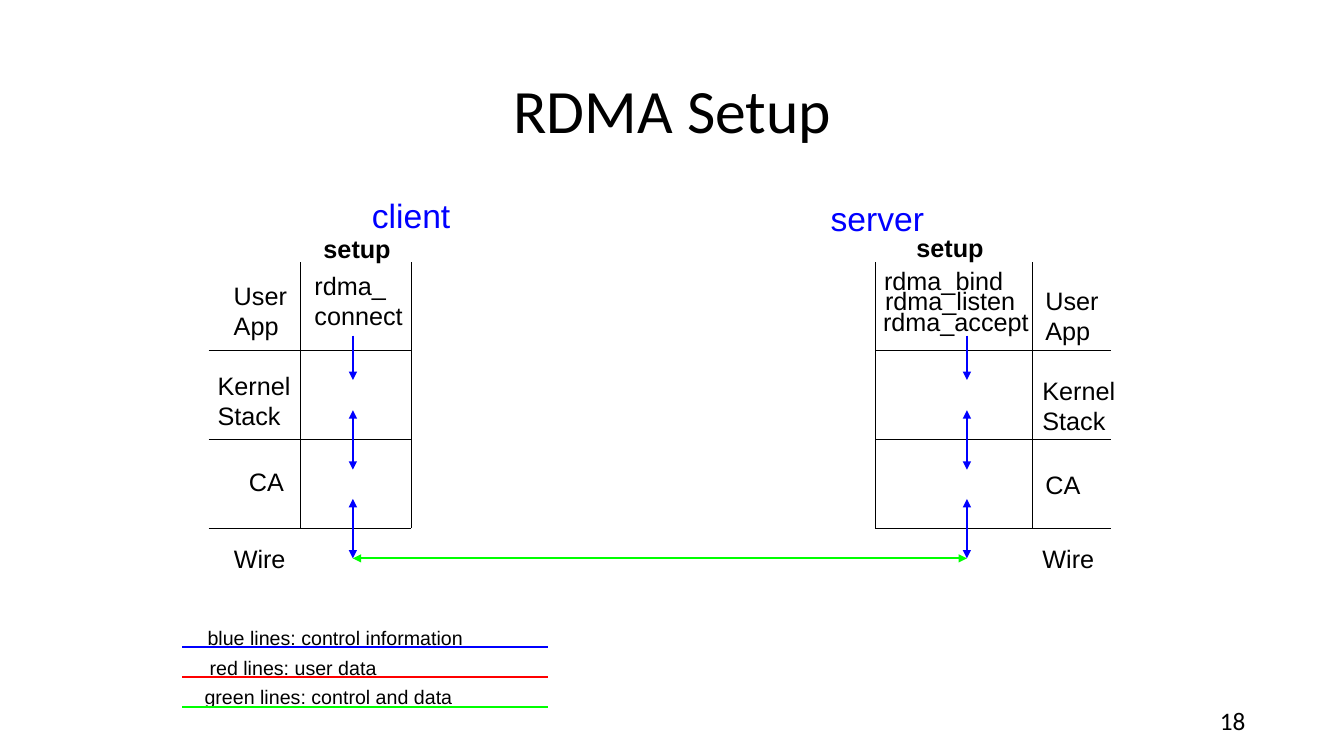
import pptx
import pptx.util
import pptx.dml.color
import pptx.enum.shapes
import pptx.enum.text
import lxml.etree
from pptx.util import Inches

COLORS = {"black": "000000", "blue": "0000FF", "red": "FF0000", "green": "00FF00"}

presentation = pptx.Presentation()
presentation.slide_width = Inches(13.33)
presentation.slide_height = Inches(7.5)
slide = presentation.slides.add_slide(presentation.slide_layouts[6])


def add_text(text, left, top, width, height, size=18, font="Arial", color="black", bold=False):
    shape = slide.shapes.add_textbox(Inches(left), Inches(top), Inches(width), Inches(height))
    text_frame = shape.text_frame
    text_frame.word_wrap = True
    text_frame.text = text
    for paragraph in text_frame.paragraphs:
        for run in paragraph.runs:
            run.font.size = pptx.util.Pt(size)
            run.font.name = font
            run.font.bold = bold
            run.font.color.rgb = pptx.dml.color.RGBColor.from_string(COLORS[color])
    return text_frame


def add_line(x1, y1, x2, y2, color="black", width=0.75, arrows=()):
    connector = slide.shapes.add_connector(
        pptx.enum.shapes.MSO_CONNECTOR.STRAIGHT, Inches(x1), Inches(y1), Inches(x2), Inches(y2))
    connector.line.color.rgb = pptx.dml.color.RGBColor.from_string(COLORS[color])
    connector.line.width = pptx.util.Pt(width)
    properties = connector._element.spPr
    line = connector.line._get_or_add_ln()
    for end in arrows:
        lxml.etree.SubElement(line, pptx.oxml.ns.qn("a:" + end), type="triangle")
    lxml.etree.SubElement(properties, pptx.oxml.ns.qn("a:effectLst"))


title = add_text("RDMA Setup", 0.92, 0.4, 11.5, 1.45, 44, "Calibri")
title.vertical_anchor = pptx.enum.text.MSO_ANCHOR.MIDDLE
title.paragraphs[0].alignment = pptx.enum.text.PP_ALIGN.CENTER
title.paragraphs[0].line_spacing = 0.9
add_text("18", 12, 6.95, 0.5, 0.4, 18, "Calibri")

add_text("client", 3.59, 1.88, 1.3, 0.5, 24, color="blue")
add_text("server", 8.14, 1.91, 1.46, 0.5, 24, color="blue")
add_text("setup", 3.11, 2.27, 1.12, 0.39, bold=True)
add_text("setup", 8.99, 2.26, 1.12, 0.39, bold=True)

layers = [
    ("User\nApp", 0.94, 0.69, (2.22, 2.73), (10.27, 2.78)),
    ("Kernel\nStack", 1.19, 0.69, (2.06, 3.62), (10.24, 3.67)),
    ("CA", 0.71, 0.39, (2.37, 4.58), (10.27, 4.61)),
    ("Wire", 0.92, 0.39, (2.22, 5.34), (10.24, 5.34)),
]
for label, width, height, *positions in layers:
    for left, top in positions:
        add_text(label, left, top, width, height)

add_text("rdma_\nconnect", 3.02, 2.63, 1.39, 0.69)
add_text("rdma_listen", 8.68, 2.78, 1.93, 0.39)
add_text("rdma_accept", 8.66, 2.99, 2.12, 0.39)
add_text("rdma_bind", 8.67, 2.58, 1.78, 0.39)

grid_top, row_height = 2.6, 0.88
grid_bottom = grid_top + 3 * row_height
client_x, server_x, wire_y = 3.5, 9.59, 5.54
both_ends = ("headEnd", "tailEnd")
stacks = [
    (2.07, 4.08, (2.98, 4.08), client_x),
    (8.68, 11.02, (8.68, 10.24), server_x),
]
for left, right, columns, arrow_x in stacks:
    for row in range(1, 4):
        y = grid_top + row * row_height
        add_line(left, y, right, y)
    for x in columns:
        add_line(x, grid_top, x, grid_bottom)
    add_line(arrow_x, 3.33, arrow_x, 3.77, "blue", 1.45, ("tailEnd",))
    for bottom in (wire_y - row_height, wire_y):
        add_line(arrow_x, bottom - 0.59, arrow_x, bottom, "blue", 1.45, both_ends)
add_line(client_x, wire_y, server_x, wire_y, "green", 1.45, both_ends)

legend = [
    ("blue lines: control information", "blue", 1.96, 3.55),
    ("red lines: user data", "red", 1.98, 2.41),
    ("green lines: control and data", "green", 1.93, 3.45),
]
for index, (label, color, left, width) in enumerate(legend):
    y = 6.42 + index * 0.295
    add_text(label, left, y - 0.26, width, 0.33, 14)
    add_line(1.81, y, 5.44, y, color, 1.45)

presentation.save("out.pptx")
